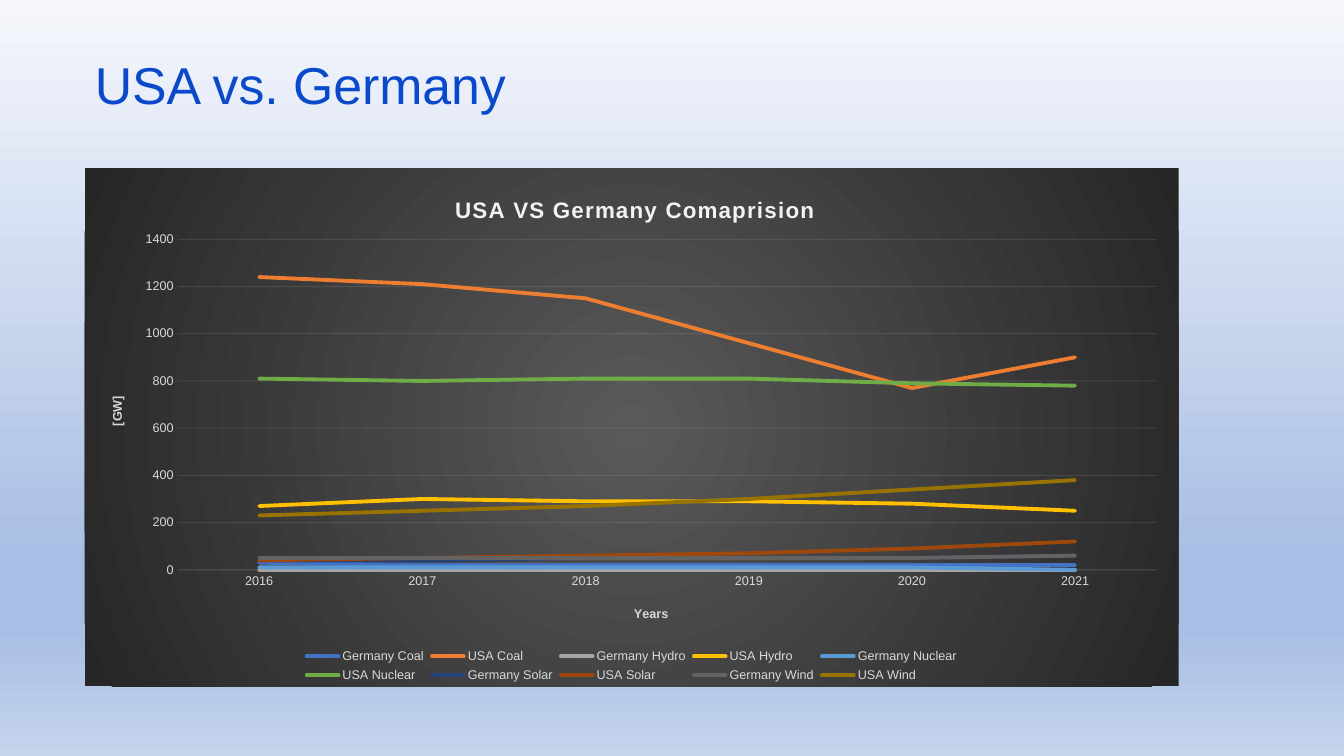
from dataclasses import dataclass

from lxml import etree
from pptx import Presentation
from pptx import util as u
from pptx.chart.data import CategoryChartData
from pptx.dml.color import RGBColor
from pptx.enum import chart as ch
from pptx.enum import text
from pptx.oxml import parse_xml
from pptx.oxml.ns import nsdecls, qn

FONT = "Arial"
COLORS = {
    "heading": "0B49CB",
    "chart_title": "F2F2F2",
    "label": "D9D9D9",
    "rule": "F2F2F2",
}
SKY = [(0, "F5F7FC"), (74, "A9BEE4"), (83, "A9BEE4"), (100, "C5D3ED")]
CHARCOAL = [(0, "595959"), (100, "262626")]
DOWNWARD = '<a:lin ang="5400000" scaled="0"/>'
FROM_CENTRE = ('<a:path path="circle"><a:fillToRect l="50000" t="50000" '
               'r="50000" b="50000"/></a:path>')
YEARS = ["2016", "2017", "2018", "2019", "2020", "2021"]


@dataclass
class Source:
    name: str
    color: str
    output: tuple[int, ...]


SOURCES = [
    Source("Germany Coal", "4472C4", (30, 20, 20, 20, 20, 20)),
    Source("USA Coal", "ED7D31", (1240, 1210, 1150, 960, 770, 900)),
    Source("Germany Hydro", "A5A5A5", (0, 0, 0, 0, 0, 0)),
    Source("USA Hydro", "FFC000", (270, 300, 290, 290, 280, 250)),
    Source("Germany Nuclear", "5B9BD5", (10, 10, 10, 10, 10, 0)),
    Source("USA Nuclear", "70AD47", (810, 800, 810, 810, 790, 780)),
    Source("Germany Solar", "264478", (40, 40, 50, 50, 50, 60)),
    Source("USA Solar", "9E480E", (40, 50, 60, 70, 90, 120)),
    Source("Germany Wind", "636363", (50, 50, 50, 50, 50, 60)),
    Source("USA Wind", "997300", (230, 250, 270, 300, 340, 380)),
]


def gradient(stops: list[tuple[int, str]], direction: str):
    marks = "".join(
        f'<a:gs pos="{pos * 1000}"><a:srgbClr val="{color}"/></a:gs>'
        for pos, color in stops)
    return parse_xml(f'<a:gradFill {nsdecls("a")} rotWithShape="1">'
                     f'<a:gsLst>{marks}</a:gsLst>{direction}</a:gradFill>')


def style_font(font, size: float, color: str, bold: bool = False) -> None:
    font.name = FONT
    font.size = u.Pt(size)
    font.bold = bold
    font.color.rgb = RGBColor.from_string(color)


def style_line(line, width: float, color: str) -> None:
    line.width = u.Pt(width)
    line.color.rgb = RGBColor.from_string(color)


def place(element, index: int, **fractions: float) -> None:
    """Give a chart part a manual layout, in fractions of the chart."""
    for old in element.findall(qn("c:layout")):
        element.remove(old)
    modes = "".join(f'<c:{key}Mode val="edge"/>' for key in "xy")
    sizes = "".join(f'<c:{key} val="{value}"/>'
                    for key, value in fractions.items())
    target = '<c:layoutTarget val="inner"/>' if "w" in fractions else ""
    element.insert(index, parse_xml(
        f'<c:layout {nsdecls("c")}><c:manualLayout>{target}{modes}{sizes}'
        f'</c:manualLayout></c:layout>'))


def write_title(title, words: str, size: float, color: str,
                x: float, y: float):
    para = title.text_frame.paragraphs[0]
    para.text = words
    style_font(para.runs[0].font, size, color, bold=True)
    place(title.element, 1, x=x, y=y)
    return para


def style_axis(axis, words: str, x: float, y: float) -> None:
    axis.major_tick_mark = ch.XL_TICK_MARK.NONE
    axis.minor_tick_mark = ch.XL_TICK_MARK.NONE
    style_font(axis.tick_labels.font, 9, COLORS["label"])
    write_title(axis.axis_title, words, 9, COLORS["label"], x, y)


def add_heading(page) -> None:
    title = page.shapes.title
    title.left, title.top = u.Inches(0.84), u.Inches(0.59)
    title.width, title.height = u.Inches(11.5), u.Inches(0.6)
    frame = title.text_frame
    frame.text = "USA vs. Germany"
    frame.auto_size = text.MSO_AUTO_SIZE.NONE
    frame.vertical_anchor = text.MSO_ANCHOR.MIDDLE
    para = frame.paragraphs[0]
    para.alignment = text.PP_ALIGN.LEFT
    para.line_spacing = 0.8
    style_font(para.runs[0].font, 37, COLORS["heading"])


def add_comparison(page) -> None:
    data = CategoryChartData()
    data.categories = YEARS
    for source in SOURCES:
        data.add_series(source.name, source.output)
    chart = page.shapes.add_chart(
        ch.XL_CHART_TYPE.LINE, u.Inches(0.84), u.Inches(1.67),
        u.Inches(10.85), u.Inches(5.14), data).chart
    style_font(chart.font, 10, "000000")

    # Dark panel behind the chart
    panel = parse_xml(f'<c:spPr {nsdecls("c", "a")}>'
                      '<a:ln><a:noFill/></a:ln></c:spPr>')
    panel.insert(0, gradient(CHARCOAL, FROM_CENTRE))
    chart.element.find(qn("c:txPr")).addprevious(panel)

    # Chart title with spaced letters
    para = write_title(chart.chart_title, "USA VS Germany Comaprision", 16,
                       COLORS["chart_title"], 0.335, 0.045)
    para.runs[0].font._element.set("spc", "100")
    chart.chart_title.include_in_layout = False

    # Axes and gridlines
    style_axis(chart.category_axis, "Years", 0.5, 0.84)
    style_axis(chart.value_axis, "[GW]", 0.02, 0.435)
    chart.value_axis.minimum_scale = 0
    chart.value_axis.maximum_scale = 1400
    chart.value_axis.major_unit = 200
    chart.value_axis.format.line.fill.background()
    for owner in (chart.category_axis, chart.value_axis.major_gridlines):
        style_line(owner.format.line, 0.75, COLORS["rule"])
    for tint in chart.element.xpath(
            ".//c:catAx/c:spPr//a:srgbClr | .//c:majorGridlines//a:srgbClr"):
        etree.SubElement(tint, qn("a:alpha")).set("val", "10000")
    plot_area = chart.element.find(".//" + qn("c:plotArea"))
    place(plot_area, 0, x=0.085, y=0.137, w=0.895, h=0.638)

    # Legend
    chart.has_legend = True
    chart.legend.position = ch.XL_LEGEND_POSITION.BOTTOM
    chart.legend.include_in_layout = False
    style_font(chart.legend.font, 9, COLORS["label"])

    # One line per energy source
    for series, source in zip(chart.plots[0].series, SOURCES):
        series.smooth = False
        series.marker.style = ch.XL_MARKER_STYLE.NONE
        style_line(series.format.line, 2.75, source.color)
    for stroke in chart.element.xpath(".//c:ser/c:spPr/a:ln"):
        stroke.set("cap", "rnd")


def main() -> None:
    deck = Presentation()
    deck.slide_width, deck.slide_height = u.Inches(13.33), u.Inches(7.5)
    page = deck.slides.add_slide(deck.slide_layouts.get_by_name("Title Only"))

    # Background gradient
    page.background.fill.solid()
    plain = page.element.find(".//" + qn("p:bgPr")).find(qn("a:solidFill"))
    plain.getparent().replace(plain, gradient(SKY, DOWNWARD))

    add_heading(page)
    add_comparison(page)
    deck.save("out.pptx")


if __name__ == "__main__":
    main()
